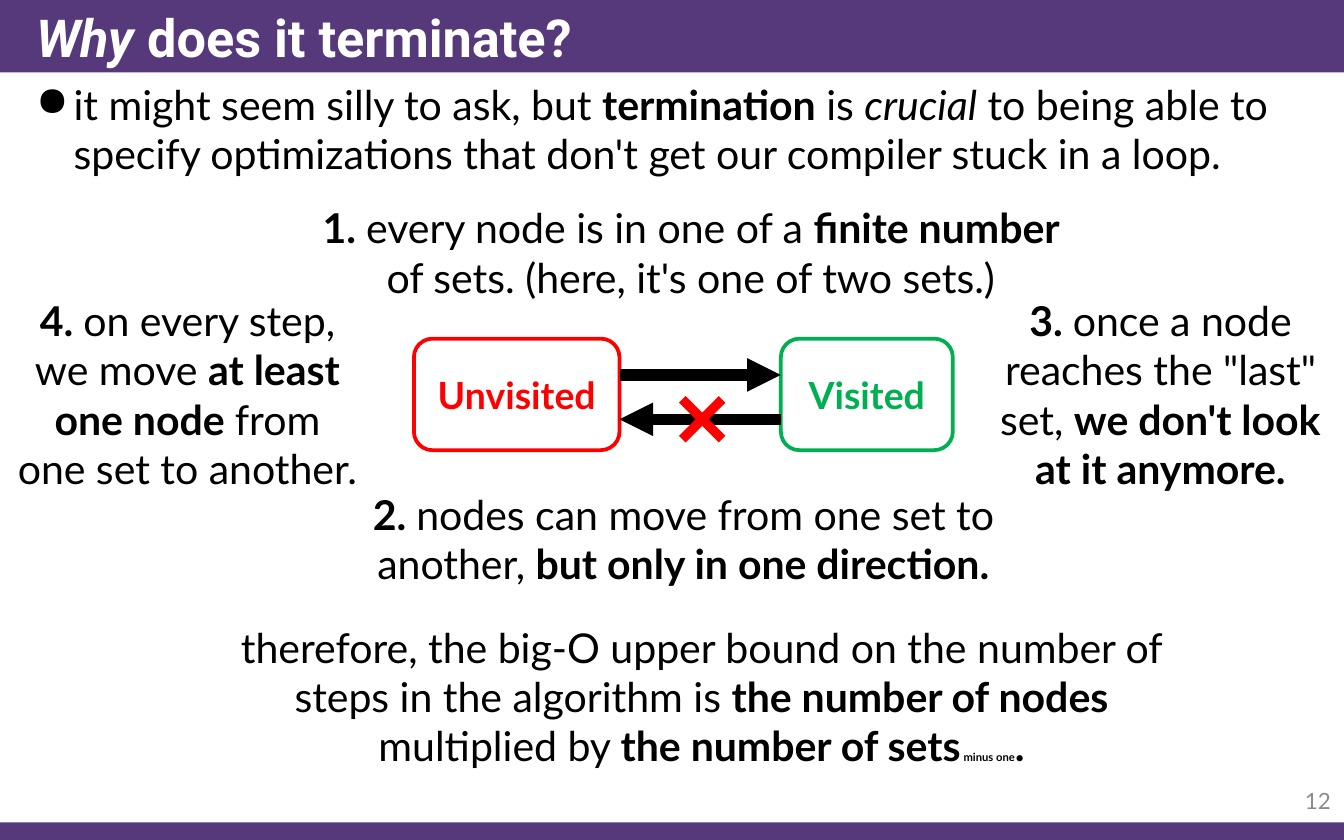
from lxml import etree
from pptx import Presentation
from pptx.dml.color import RGBColor
from pptx.enum.shapes import MSO_CONNECTOR, MSO_SHAPE
from pptx.enum.text import MSO_ANCHOR, PP_ALIGN
from pptx.oxml.ns import qn
from pptx.util import Inches, Pt

PURPLE = RGBColor(0x56, 0x39, 0x7B)
WHITE = RGBColor(0xFF, 0xFF, 0xFF)
BLACK = RGBColor(0, 0, 0)
GRAY = RGBColor(0x8C, 0x8C, 0x8C)
RED = RGBColor(0xFF, 0, 0)
GREEN = RGBColor(0, 0xB0, 0x50)

LEFT, CENTER, RIGHT = PP_ALIGN.LEFT, PP_ALIGN.CENTER, PP_ALIGN.RIGHT
TOP, MIDDLE = MSO_ANCHOR.TOP, MSO_ANCHOR.MIDDLE
RECTANGLE, ROUNDED = MSO_SHAPE.RECTANGLE, MSO_SHAPE.ROUNDED_RECTANGLE
CROSS = MSO_SHAPE.MATH_MULTIPLY
STRAIGHT = MSO_CONNECTOR.STRAIGHT

PAGE_WIDTH, PAGE_HEIGHT = 10, 6.25
BAR_HEIGHT = 0.54


def write(shape, spans, size=22, color=BLACK, font="Lato", align=CENTER, anchor=TOP):
    """Fill a shape with one paragraph; each span is (text, style), style from "b" and "i"."""
    frame = shape.text_frame
    frame.word_wrap = True
    frame.vertical_anchor = anchor
    para = frame.paragraphs[0]
    para.alignment = align
    for text, style, *own_size in spans:
        span = para.add_run()
        span.text = text
        span.font.name = font
        span.font.size = Pt(own_size[0] if own_size else size)
        span.font.bold = "b" in style
        span.font.italic = "i" in style
        span.font.color.rgb = color
    return para


def add_text(page, box, spans, **style):
    return write(page.shapes.add_textbox(*map(Inches, box)), spans, **style)


def add_solid(page, kind, box, color):
    shape = page.shapes.add_shape(kind, *map(Inches, box))
    shape.shadow.inherit = False
    shape.fill.solid()
    shape.fill.fore_color.rgb = color
    shape.line.fill.background()
    return shape


def add_state(page, box, name, color):
    state = page.shapes.add_shape(ROUNDED, *map(Inches, box))
    state.shadow.inherit = False
    state.fill.background()
    state.line.color.rgb = color
    state.line.width = Pt(2)
    write(state, [(name, "b")], size=20, color=color, anchor=MIDDLE)


def add_arrow(page, start, end, y):
    arrow = page.shapes.add_connector(STRAIGHT, Inches(start), Inches(y), Inches(end), Inches(y))
    arrow.line.color.rgb = BLACK
    arrow.line.width = Pt(6)
    properties = arrow._element.spPr
    etree.SubElement(properties.find(qn("a:ln")), qn("a:tailEnd"), type="triangle")
    etree.SubElement(properties, qn("a:effectLst"))


def add_frame(page, number):
    """Title bar, bottom bar and page number."""
    add_solid(page, RECTANGLE, (0, PAGE_HEIGHT - 0.13, PAGE_WIDTH, 0.13), PURPLE)
    add_solid(page, RECTANGLE, (0, 0, PAGE_WIDTH, BAR_HEIGHT), PURPLE)
    add_text(page, (0.17, 0, 9.83, BAR_HEIGHT),
             [("Why", "bi"), (" does it terminate?", "b")],
             size=28, color=WHITE, font="Roboto", align=LEFT, anchor=MIDDLE)
    add_text(page, (9.25, 5.79, 0.75, 0.33), [(number, "")],
             size=12, color=GRAY, align=RIGHT, anchor=MIDDLE)


def add_intro(page, box):
    para = add_text(page, box, [
        ("it might seem silly to ask, but ", ""), ("termination", "b"), (" is ", ""),
        ("crucial", "i"),
        (" to being able to specify optimizations that don't get our compiler stuck in a loop.", ""),
    ], align=LEFT)
    properties = para._p.get_or_add_pPr()
    properties.set("marL", str(Inches(0.28)))
    properties.set("indent", str(-Inches(0.28)))
    etree.SubElement(properties, qn("a:buChar"), char="●")


def add_diagram(page, box):
    """Two states, an arrow each way, and a cross on the way back."""
    left, top, width, height = box
    unvisited_width, visited_width = 1.53, 1.28
    start = left + unvisited_width
    end = left + width - visited_width
    add_state(page, (left, top, unvisited_width, height), "Unvisited", RED)
    add_state(page, (end, top, visited_width, height), "Visited", GREEN)
    back_y = top + 0.6
    add_arrow(page, start, end, top + 0.27)
    add_arrow(page, end, start, back_y)
    side = 0.57
    cross = add_solid(page, CROSS, (start + 0.33, back_y - side / 2, side, side), RED)
    cross.adjustments[0] = 0.122


def add_reasons(page):
    """Numbered reasons around the diagram, then the conclusion."""
    reasons = [
        ((2.14, 1.46, 6, 0.84), [
            ("1. ", "b"), ("every node is in one of a ", ""), ("finite number ", "b"),
            ("of sets. (here, it's one of two sets.)", "")]),
        ((2.25, 3.59, 5.67, 0.84), [
            ("2. ", "b"), ("nodes can move from one set to another, ", ""),
            ("but only in one direction.", "b")]),
        ((7.27, 2.15, 2.73, 1.58), [
            ("3. ", "b"), ("once a node reaches the \"last\" set, ", ""),
            ("we don't look at it anymore.", "b")]),
        ((0.03, 2.15, 2.73, 1.58), [
            ("4. ", "b"), ("on every step, we move ", ""), ("at least one node ", "b"),
            ("from one set to another.", "")]),
        ((1.69, 4.58, 7.06, 1.21), [
            ("therefore, the big-O upper bound on the number of steps in the algorithm is ", ""),
            ("the number of nodes ", "b"), ("multiplied by ", ""),
            ("the number of sets", "b"), (" minus one", "b", 6), (".", "b")]),
    ]
    for box, spans in reasons:
        add_text(page, box, spans)


def main():
    deck = Presentation()
    deck.slide_width = Inches(PAGE_WIDTH)
    deck.slide_height = Inches(PAGE_HEIGHT)
    page = deck.slides.add_slide(deck.slide_layouts[6])
    add_frame(page, "12")
    add_intro(page, (0.17, BAR_HEIGHT, 9.83, 0.94))
    add_diagram(page, (3.08, 2.52, 4.01, 0.83))
    add_reasons(page)
    deck.save("out.pptx")


if __name__ == "__main__":
    main()
